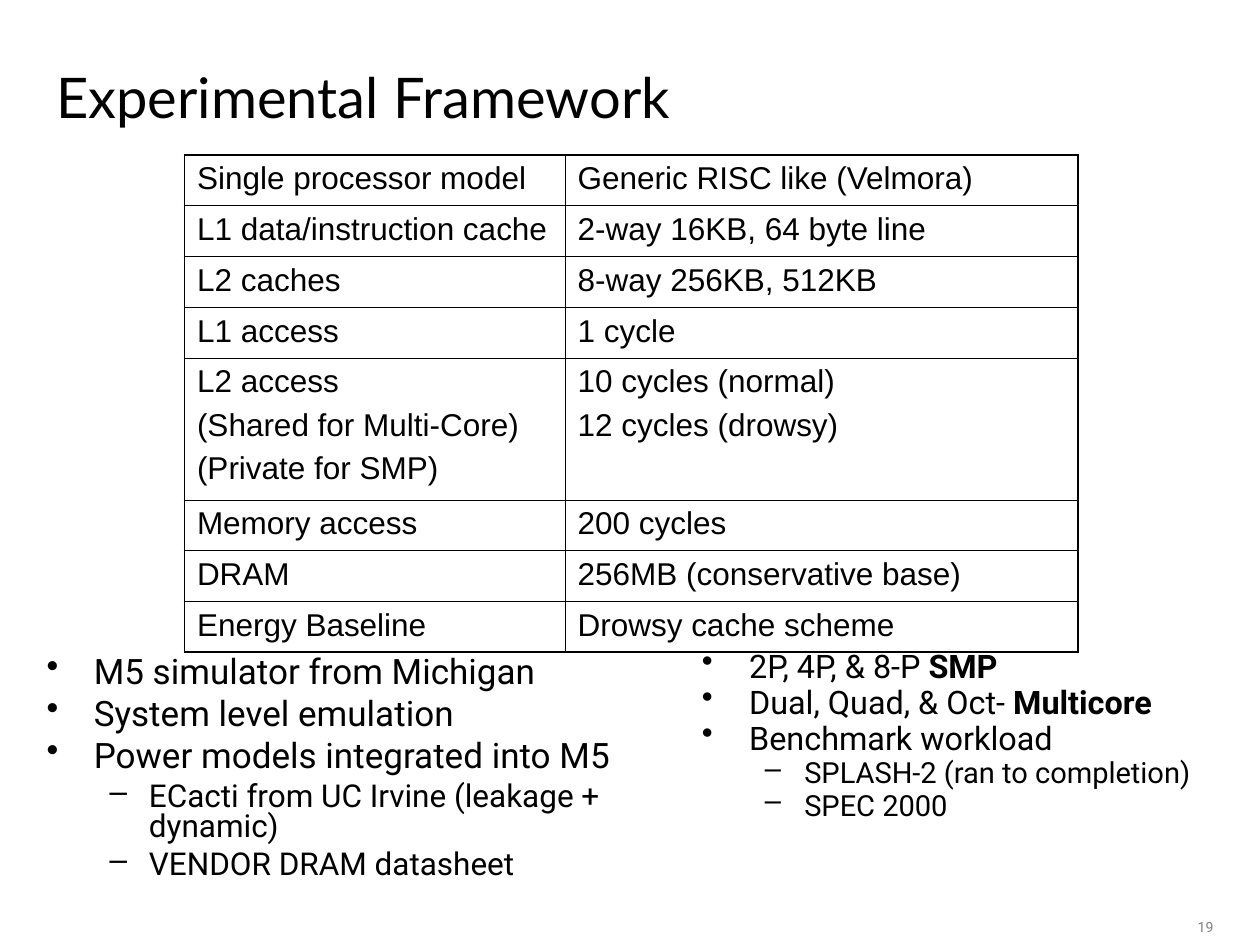
from pptx import Presentation
from pptx.dml.color import RGBColor
from pptx.enum.text import MSO_ANCHOR as Anchor, PP_ALIGN as Align
from pptx.oxml.ns import qn
from pptx.util import Pt
from lxml.etree import Element, SubElement

BLACK, GREY = "000000", "808080"
# Per level: bullet, left margin, hanging indent, space before
LEVELS = [("•", 27, 27, 5), ("–", 58.5, 22.5, 4.5)]


def color(hex_code):
    return RGBColor.from_string(hex_code)


def write(p, text, font="Arial", size=18, fill=BLACK, bold=False):
    r = p.add_run()
    r.text = text
    r.font.name, r.font.size, r.font.bold = font, Pt(size), bold
    r.font.color.rgb = color(fill)


def solid(parent, hex_code):
    SubElement(SubElement(parent, qn("a:solidFill")), qn("a:srgbClr"), val=hex_code)


class Deck:
    head_font, body_font, table_font = "Lato", "Roboto", "Arial"
    thin, thick = 0.45, 1.08

    def __init__(self, width, height):
        self.prs = Presentation()
        self.prs.slide_width, self.prs.slide_height = Pt(width), Pt(height)
        self.s = self.prs.slides.add_slide(self.prs.slide_layouts[6])

    def box(self, x, y, w, h, anchor=Anchor.TOP):
        tf = self.s.shapes.add_textbox(Pt(x), Pt(y), Pt(w), Pt(h)).text_frame
        tf.word_wrap, tf.vertical_anchor = True, anchor
        return tf

    def line(self, box, text, align=Align.LEFT, anchor=Anchor.TOP, **fmt):
        p = self.box(*box, anchor=anchor).paragraphs[0]
        p.alignment = align
        write(p, text, **fmt)

    def bullets(self, box, items, sizes, spacing):
        """Each item is a level followed by its plain text and optional bold text."""
        tf = self.box(*box)
        for i, (level, text, *strong) in enumerate(items):
            p = tf.paragraphs[0] if i == 0 else tf.add_paragraph()
            char, margin, hang, gap = LEVELS[level]
            p.level = level
            pPr = p._p.get_or_add_pPr()
            pPr.set("marL", str(Pt(margin)))
            pPr.set("indent", str(-Pt(hang)))
            SubElement(SubElement(pPr, qn("a:buClr")), qn("a:srgbClr"), val=BLACK)
            SubElement(pPr, qn("a:buChar"), char=char)
            p.line_spacing = spacing
            p.space_before = Pt(gap if i else 0)
            fmt = dict(font=self.body_font, size=sizes[level])
            write(p, text, **fmt)
            for part in strong:
                write(p, part, bold=True, **fmt)

    def borders(self, cell, widths):
        tcPr = cell._tc.get_or_add_tcPr()
        for i, (side, width) in enumerate(zip("LRTB", widths)):
            ln = Element(qn(f"a:ln{side}"), w=str(Pt(width)))
            solid(ln, BLACK)
            tcPr.insert(i, ln)

    def table(self, x, y, col_widths, row_heights, rows):
        n, m = len(rows), len(col_widths)
        frame = self.s.shapes.add_table(n, m, Pt(x), Pt(y),
                                        Pt(sum(col_widths)), Pt(sum(row_heights)))
        tbl = frame.table
        tbl.first_row = tbl.horz_banding = False
        for col, width in zip(tbl.columns, col_widths):
            col.width = Pt(width)
        for i, row in enumerate(rows):
            tbl.rows[i].height = Pt(row_heights[i])
            for j, text in enumerate(row):
                cell = tbl.cell(i, j)
                cell.fill.background()
                edges = (j == 0, j == m - 1, i == 0, i == n - 1)
                self.borders(cell, [self.thick if e else self.thin for e in edges])
                for k, part in enumerate(text.split("\n")):
                    tf = cell.text_frame
                    p = tf.add_paragraph() if k else tf.paragraphs[0]
                    p.space_before = Pt(4.5 if k else 0)
                    write(p, part, font=self.table_font)


def main():
    deck = Deck(720, 540)

    # Title
    deck.line((25, 25, 648, 60), "Experimental Framework",
              anchor=Anchor.MIDDLE, font=deck.head_font, size=32)

    # Configuration table
    config = [
        ("Single processor model", "Generic RISC like (Velmora)"),
        ("L1 data/instruction cache", "2-way 16KB, 64 byte line"),
        ("L2 caches", "8-way 256KB, 512KB"),
        ("L1 access", "1 cycle"),
        ("L2 access\n(Shared for Multi-Core)\n(Private for SMP)",
         "10 cycles (normal)\n12 cycles (drowsy)"),
        ("Memory access", "200 cycles"),
        ("DRAM", "256MB (conservative base)"),
        ("Energy Baseline", "Drowsy cache scheme"),
    ]
    heights = [81 if "\n" in name else 29 for name, _ in config]
    deck.table(105.4, 88.6, [217.5, 293], heights, config)

    # Simulation tools
    deck.bullets((19.5, 372, 397, 136), [
        (0, "M5 simulator from Michigan"),
        (0, "System level emulation"),
        (0, "Power models integrated into M5"),
        (1, "ECacti from UC Irvine (leakage + dynamic)"),
        (1, "VENDOR DRAM datasheet"),
    ], sizes=(20, 18), spacing=0.8)

    # Machines and workload
    deck.bullets((394, 372, 312, 119), [
        (0, "2P, 4P, & 8-P ", "SMP"),
        (0, "Dual, Quad, & Oct- ", "Multicore"),
        (0, "Benchmark workload"),
        (1, "SPLASH-2 (ran to completion)"),
        (1, "SPEC 2000"),
    ], sizes=(18.5, 16.6), spacing=0.7)

    # Slide number
    deck.line((653, 521.5, 47.5, 12), "19", align=Align.RIGHT,
              font=deck.body_font, size=8, fill=GREY)

    deck.prs.save("out.pptx")


if __name__ == "__main__":
    main()
